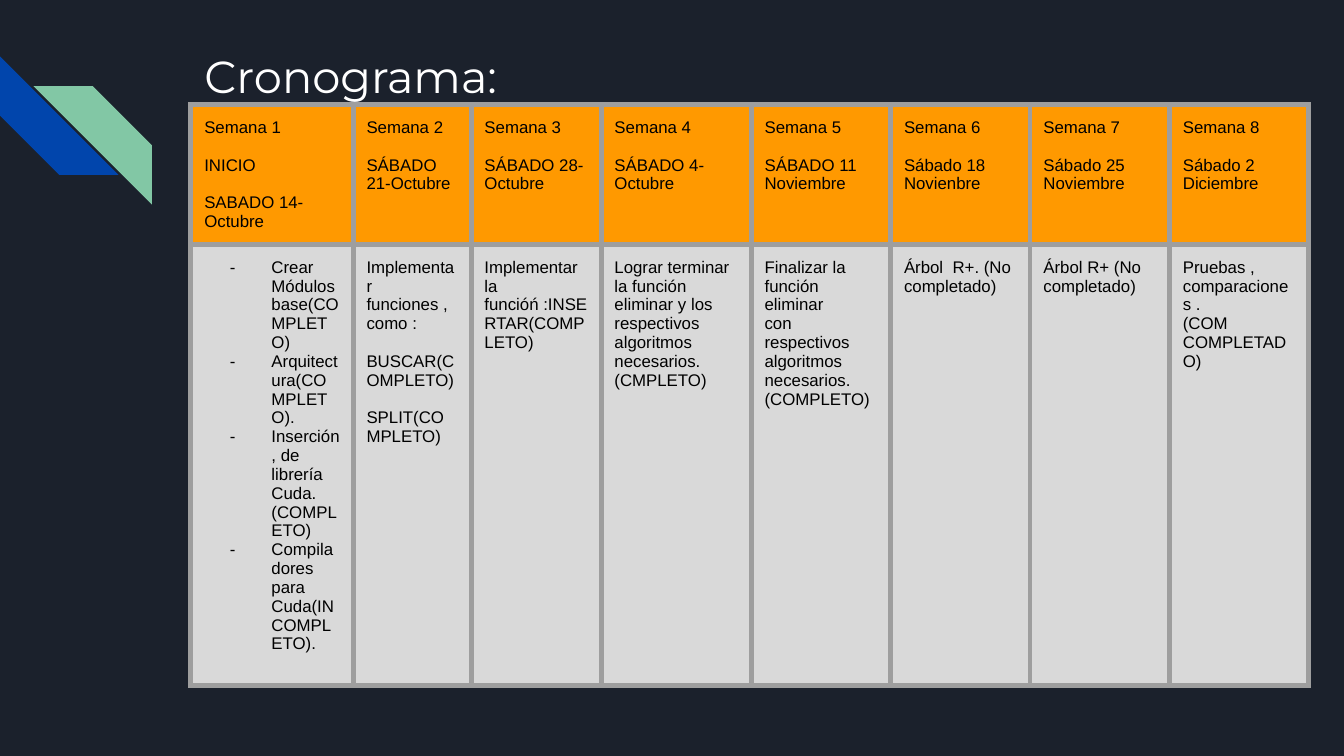
import pptx
import pptx.util
import pptx.dml.color
import pptx.enum.shapes
import pptx.enum.text
import pptx.oxml.ns
import lxml.etree

WIDTH = pptx.util.Inches(10)
HEIGHT = WIDTH * 9 // 16
GRID = WIDTH / 1000
INSET = round(10 * GRID)
MARGINS = {"margin_left": INSET, "margin_right": INSET, "margin_top": INSET, "margin_bottom": INSET}
WEEK_WIDTHS = [121, 88, 97, 112, 104, 104, 104, 104]
BAND_HEIGHTS = [104, 328]
BAND_COLOURS = ["FF9900", "D9D9D9"]

WEEKS = [
    "Semana 1\n\nINICIO\n\nSABADO 14-Octubre",
    "Semana 2\n\nSÁBADO 21-Octubre",
    "Semana 3\n\nSÁBADO 28-Octubre",
    "Semana 4\n\nSÁBADO 4-Octubre",
    "Semana 5\n\nSÁBADO 11\nNoviembre",
    "Semana 6\n\nSábado 18\nNovienbre",
    "Semana 7\n\nSábado 25\nNoviembre",
    "Semana 8\n\nSábado 2\nDiciembre",
]
TASKS = [
    "Crear Módulos base(COMPLETO)\nArquitectura(COMPLETO).\n"
    "Inserción , de librería Cuda.(COMPLETO)\nCompiladores para Cuda(INCOMPLETO).",
    "Implementar funciones , como :\n\nBUSCAR(COMPLETO)\n\nSPLIT(COMPLETO)",
    "Implementar la funcióń :INSERTAR(COMPLETO)",
    "Lograr terminar la función eliminar y los respectivos algoritmos necesarios.(CMPLETO)",
    "Finalizar la función eliminar\ncon respectivos algoritmos necesarios.(COMPLETO)",
    "Árbol  R+. (No completado)",
    "Árbol R+ (No completado)",
    "Pruebas , comparaciones .\n(COM COMPLETADO)",
]


def colour(value):
    return pptx.dml.color.RGBColor.from_string(value)


def apply(target, formats):
    for name, value in formats.items():
        setattr(target, name, value)


def fill(target, value):
    target.fill.solid()
    target.fill.fore_color.rgb = colour(value)


def grid_box(left, top, width, height):
    lengths = {"left": left, "top": top, "width": width, "height": height}
    return {name: round(cells * GRID) for name, cells in lengths.items()}


def write(paragraph, words, size, face, ink):
    run = paragraph.add_run()
    run.text = words
    apply(run.font, {"size": pptx.util.Pt(size), "name": face})
    run.font.color.rgb = colour(ink)


def add_stripes(slide, box):
    side = box["width"] * 0.78
    stripes = [(0, 0, 270, "0145AC"), (0.22, 0.2, 90, "82C7A5")]
    for across, down, turn, shade in stripes:
        stripe = slide.shapes.add_shape(
            pptx.enum.shapes.MSO_SHAPE.DIAGONAL_STRIPE,
            round(box["left"] + across * box["width"]),
            round(box["top"] + down * box["height"]),
            round(side),
            round(side),
        )
        stripe.adjustments[0] = 0.5
        stripe.rotation = turn
        stripe.shadow.inherit = False
        fill(stripe, shade)
        stripe.line.fill.background()


def add_heading(slide, box):
    heading = slide.shapes.title
    apply(heading, box)
    frame = heading.text_frame
    apply(frame, MARGINS | {
        "word_wrap": True,
        "auto_size": pptx.enum.text.MSO_AUTO_SIZE.NONE,
        "vertical_anchor": pptx.enum.text.MSO_ANCHOR.TOP,
    })
    frame.paragraphs[0].alignment = pptx.enum.text.PP_ALIGN.LEFT
    write(frame.paragraphs[0], "Cronograma:", 24, "Montserrat", "FFFFFF")


def add_borders(cell):
    properties = cell._tc.get_or_add_tcPr()
    for side in ("a:lnL", "a:lnR", "a:lnT", "a:lnB"):
        edge = lxml.etree.SubElement(
            properties, pptx.oxml.ns.qn(side), w=str(pptx.util.Pt(3)))
        paint = lxml.etree.SubElement(edge, pptx.oxml.ns.qn("a:solidFill"))
        lxml.etree.SubElement(paint, pptx.oxml.ns.qn("a:srgbClr"), val="9E9E9E")


def add_dash(paragraph):
    properties = paragraph._p.get_or_add_pPr()
    properties.set("marL", str(pptx.util.Inches(0.5)))
    properties.set("indent", str(pptx.util.Inches(-0.31)))
    lxml.etree.SubElement(properties, pptx.oxml.ns.qn("a:buFont"), typeface="Arial")
    lxml.etree.SubElement(properties, pptx.oxml.ns.qn("a:buChar"), char="-")


def fill_cell(cell, text, shade, dashed):
    apply(cell, MARGINS | {"vertical_anchor": pptx.enum.text.MSO_ANCHOR.TOP})
    add_borders(cell)
    fill(cell, shade)
    frame = cell.text_frame
    paragraph = frame.paragraphs[0]
    for block_index, block in enumerate(text.split("\n\n")):
        for line_index, line in enumerate(block.split("\n")):
            if block_index or line_index:
                paragraph = frame.add_paragraph()
            if block_index and not line_index:
                paragraph.space_before = pptx.util.Pt(10)
            write(paragraph, line, 9, "Arial", "000000")
            if dashed:
                add_dash(paragraph)


def add_schedule(slide, box):
    schedule = slide.shapes.add_table(2, len(WEEKS), **box).table
    apply(schedule, {"first_row": False, "horz_banding": False})
    for week, share in zip(schedule.columns, WEEK_WIDTHS):
        week.width = round(box["width"] * share / sum(WEEK_WIDTHS))
    for band, share in zip(schedule.rows, BAND_HEIGHTS):
        band.height = round(box["height"] * share / sum(BAND_HEIGHTS))
    for band, texts in enumerate((WEEKS, TASKS)):
        for week, text in enumerate(texts):
            dashed = band == 1 and week == 0
            fill_cell(schedule.cell(band, week), text, BAND_COLOURS[band], dashed)


def main():
    deck = pptx.Presentation()
    apply(deck, {"slide_width": WIDTH, "slide_height": HEIGHT})
    slide = deck.slides.add_slide(deck.slide_layouts.get_by_name("Title Only"))
    fill(slide.background, "1B212C")
    add_stripes(slide, grid_box(0, 42, 113, 110))
    add_heading(slide, grid_box(142, 26, 770, 100))
    add_schedule(slide, grid_box(142, 78, 832, sum(BAND_HEIGHTS)))
    deck.save("out.pptx")


if __name__ == "__main__":
    main()
